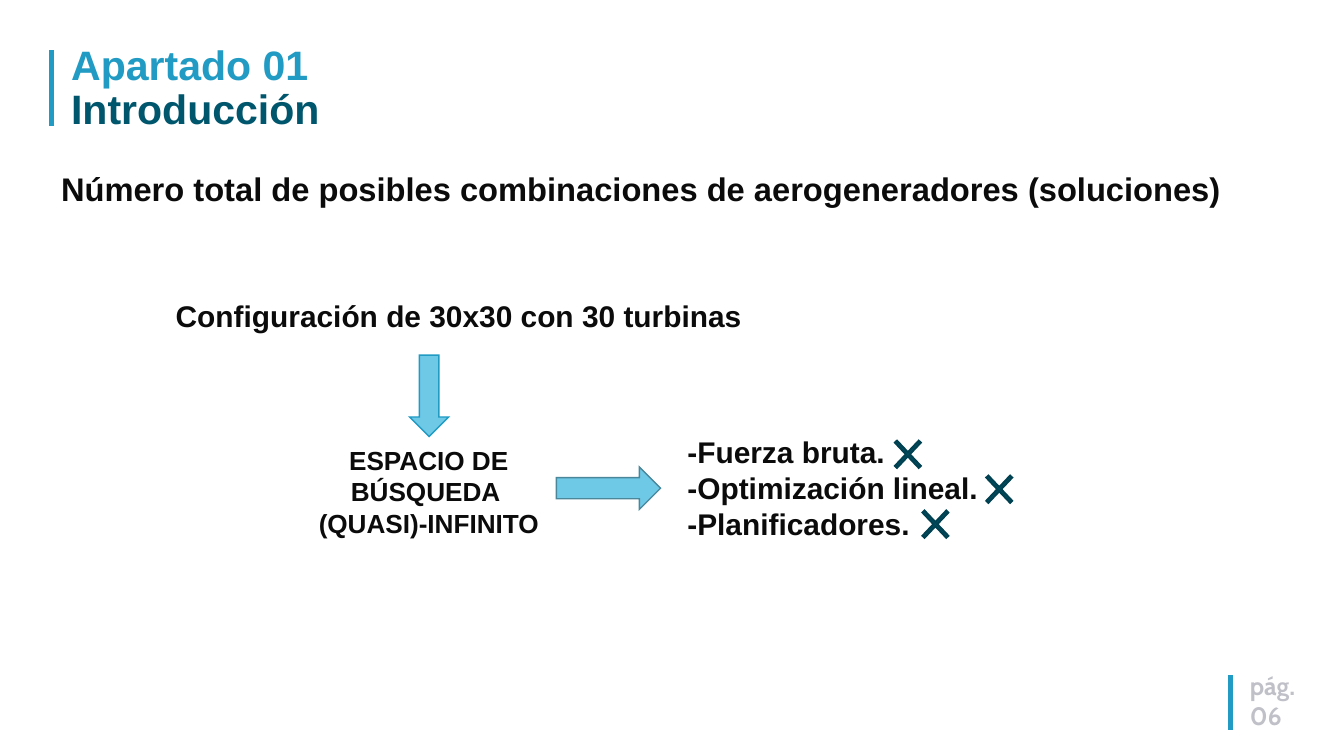
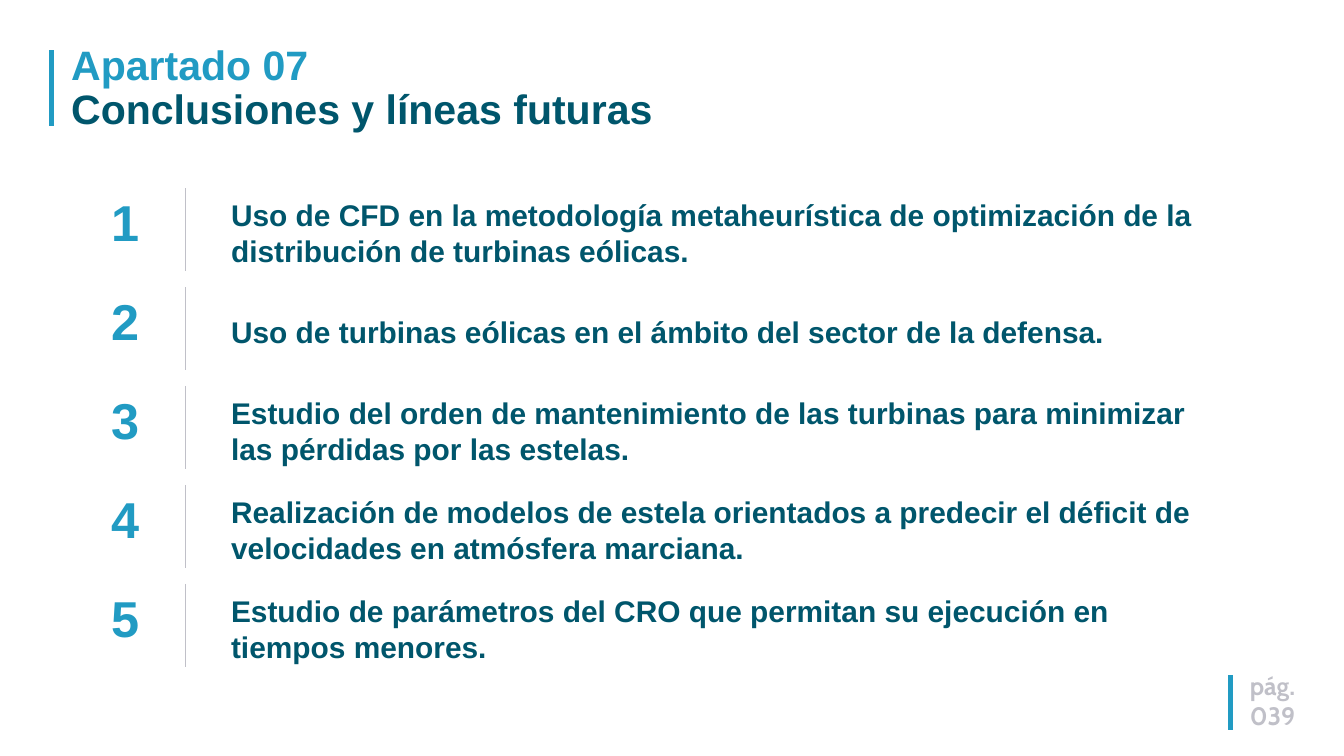
import pptx
import pptx.dml.color
import pptx.enum.shapes
import pptx.enum.text
import pptx.oxml.ns
import pptx.util
from dataclasses import dataclass
from lxml import etree

SHAPE = pptx.enum.shapes.MSO_SHAPE
ALIGN = pptx.enum.text.PP_ALIGN
ANCHOR = pptx.enum.text.MSO_ANCHOR


@dataclass(frozen=True)
class Theme:
    accent: str = "219BC3"
    dark: str = "00566C"
    cross_line: str = "004151"
    ink: str = "0C0B0B"
    grey: str = "C0C0C8"
    arrow: str = "6EC9E7"
    arrow_line: str = "4A879B"
    white: str = "FFFFFF"
    font: str = "Arial"
    page_font: str = "Cabin"
    title: int = 44
    page: int = 27
    headline: int = 35
    body: int = 32
    label: int = 28
    number: int = 54


T = Theme()
WIDTH = pptx.util.Inches(20)
HEIGHT = pptx.util.Inches(11.25)
COLUMNS = 100
CELL = WIDTH / COLUMNS


@dataclass(frozen=True)
class Box:
    x: float
    y: float
    w: float
    h: float

    def at(self, x, y, w, h):
        return Box(self.x + x, self.y + y, w, h)

    def emu(self):
        return [round(v * CELL) for v in (self.x, self.y, self.w, self.h)]


def rgb(value):
    return pptx.dml.color.RGBColor.from_string(value)


def add_run(p, text, size, color, font=T.font):
    r = p.add_run()
    r.text = text
    r.font.size = pptx.util.Pt(size)
    r.font.name = font
    r.font.bold = True
    r.font.color.rgb = rgb(color)


def add_text(s, box, lines, size, color, font=T.font, align=ALIGN.LEFT, anchor=ANCHOR.TOP):
    tf = s.shapes.add_textbox(*box.emu()).text_frame
    tf.word_wrap = True
    tf.vertical_anchor = anchor
    for i, line in enumerate(lines):
        p = tf.add_paragraph() if i else tf.paragraphs[0]
        p.alignment = align
        add_run(p, line, size, color, font)
    return tf


def add_rule(s, box, color, width):
    x, y, w, h = box.emu()
    line = s.shapes.add_connector(pptx.enum.shapes.MSO_CONNECTOR.STRAIGHT, x, y, x + w, y + h)
    line.line.color.rgb = rgb(color)
    line.line.width = pptx.util.Pt(width)
    etree.SubElement(line._element.spPr, pptx.oxml.ns.qn("a:effectLst"))


def add_shape(s, kind, box, fill, line, width):
    sp = s.shapes.add_shape(kind, *box.emu())
    sp.shadow.inherit = False
    sp.fill.solid()
    sp.fill.fore_color.rgb = rgb(fill)
    sp.line.color.rgb = rgb(line)
    sp.line.width = pptx.util.Pt(width)
    ln = sp._element.spPr.find(pptx.oxml.ns.qn("a:ln"))
    etree.SubElement(ln, pptx.oxml.ns.qn("a:miter"), lim="800000")
    return sp


def title_block(s, box, section, title):
    add_rule(s, box.at(0, 0.65, 0, 5.65), T.accent, 5)
    tf = add_text(s, box.at(0.95, 0, box.w - 0.95, box.h), [section], T.title, T.accent)
    p = tf.paragraphs[0]
    p.line_spacing = 0.9
    p.add_line_break()
    add_run(p, title, T.title, T.dark)


def page_block(s, box, number):
    add_rule(s, box.at(0, 0.65, 0, 4.05), T.accent, 5)
    add_text(s, box.at(0.95, 0, box.w - 0.95, box.h), ["pág.", number],
             T.page, T.grey, T.page_font)


def new_slide(prs, section, title, number):
    s = prs.slides.add_slide(prs.slide_layouts[6])
    s.background.fill.solid()
    s.background.fill.fore_color.rgb = rgb(T.white)
    title_block(s, Box(3.85, 3.1, 46, 7.2), section, title)
    page_block(s, Box(91.55, 49.6, 8.45, 5.05), number)
    return s


def search_space(s, box):
    add_text(s, box.at(0, 0, 52.1, 5), ["Configuración de 30x30 con 30 turbinas"],
             T.body, T.ink, align=ALIGN.CENTER, anchor=ANCHOR.MIDDLE)
    down = add_shape(s, SHAPE.RIGHT_ARROW, box.at(20.8, 7.05, 6.05, 2.9),
                     T.arrow, T.accent, 1.5)
    down.rotation = 90
    add_text(s, box.at(14.3, 12, 19, 7.2), ["ESPACIO DE BÚSQUEDA ", "(QUASI)-INFINITO"],
             T.label, T.ink, align=ALIGN.CENTER, anchor=ANCHOR.MIDDLE)
    add_shape(s, SHAPE.RIGHT_ARROW, box.at(33.3, 13.8, 7.75, 3.15), T.arrow, T.arrow_line, 1.5)
    rejected_methods(s, box.at(42.55, 11.05, 26, 8.8))


def rejected_methods(s, box):
    methods = {"-Fuerza bruta.": 15.2, "-Optimización lineal.": 22, "-Planificadores.": 17.25}
    add_text(s, box.at(0, 1.75, 23.9, 5.05), methods, T.body, T.ink, anchor=ANCHOR.MIDDLE)
    for i, x in enumerate(methods.values()):
        cross = add_shape(s, SHAPE.MATH_MULTIPLY, box.at(x, 2.6 * i, 3.4, 3.6),
                          T.dark, T.cross_line, 2.25)
        cross.adjustments[0] = 0.06


def numbered_list(s, box, items):
    pitch = box.h / len(items)
    for i, item in enumerate(items):
        row = box.at(0, i * pitch, box.w, pitch)
        add_text(s, row.at(13.65, 0.35, row.w - 13.65, 5.9), [item],
                 T.body, T.dark, anchor=ANCHOR.MIDDLE)
        add_rule(s, row.at(10.75, 0, 0, 6.2), T.grey, 2)
        add_text(s, row.at(0, 0, 7.8, 5.05), [str(i + 1)], T.number, T.accent, align=ALIGN.RIGHT)


def introduction(prs):
    s = new_slide(prs, "Apartado 01", "Introducción", "06")
    add_text(s, Box(4.05, 11.7, 90.65, 4.65),
             ["Número total de posibles combinaciones de aerogeneradores (soluciones)"],
             T.headline, T.ink, anchor=ANCHOR.MIDDLE)
    search_space(s, Box(8.1, 20.95, 68.5, 20))


def conclusions(prs):
    s = new_slide(prs, "Apartado 07", "Conclusiones y líneas futuras", "039")
    numbered_list(s, Box(3.05, 14, 89.15, 36.8), [
        "Uso de CFD en la metodología metaheurística de optimización de la "
        "distribución de turbinas eólicas.",
        "Uso de turbinas eólicas en el ámbito del sector de la defensa.",
        "Estudio del orden de mantenimiento de las turbinas para minimizar "
        "las pérdidas por las estelas.",
        "Realización de modelos de estela orientados a predecir el déficit de "
        "velocidades en atmósfera marciana.",
        "Estudio de parámetros del CRO que permitan su ejecución en tiempos menores.",
    ])


def main():
    prs = pptx.Presentation()
    prs.slide_width = WIDTH
    prs.slide_height = HEIGHT
    introduction(prs)
    conclusions(prs)
    prs.save("out.pptx")


if __name__ == "__main__":
    main()
